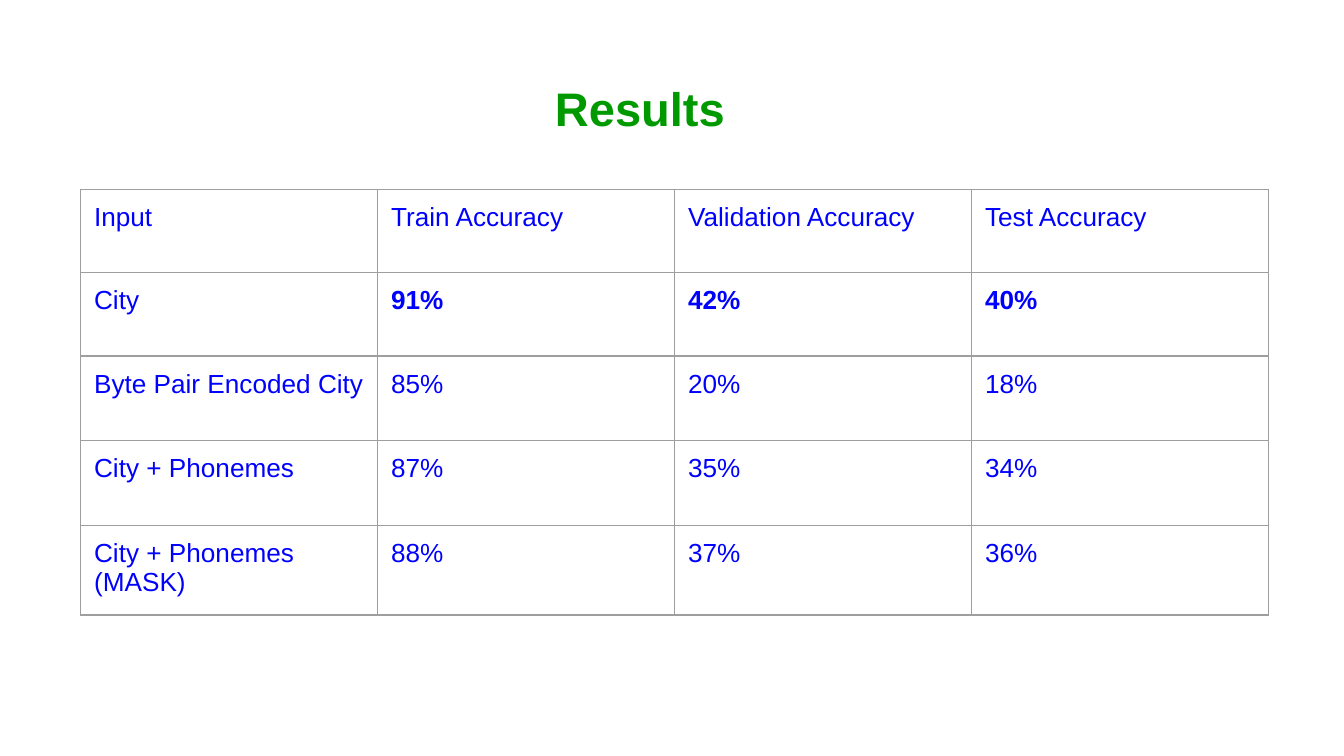
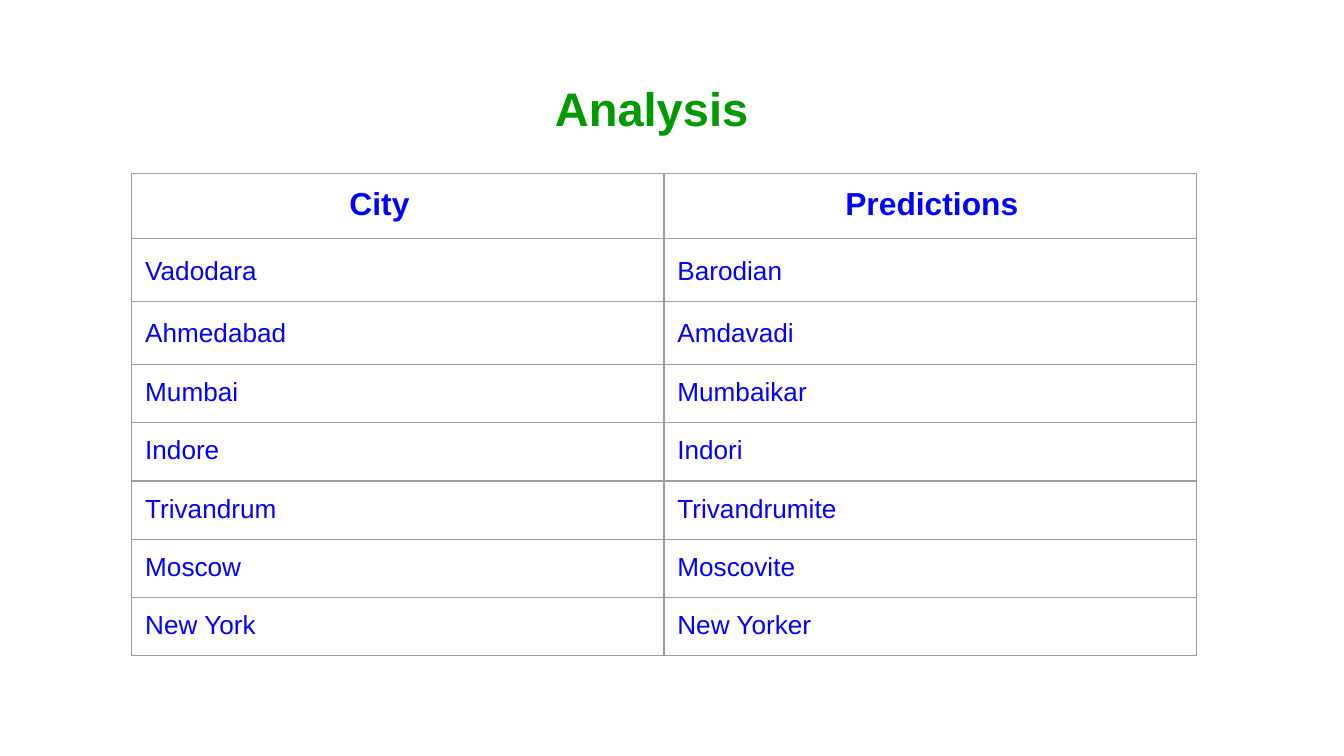
from dataclasses import dataclass, field

from lxml import etree
from pptx import Presentation
from pptx.dml.color import RGBColor
from pptx.enum.text import MSO_ANCHOR
from pptx.oxml.ns import qn
from pptx.util import Inches, Pt

TOP = MSO_ANCHOR.TOP
COLORS = {"title": "009900", "text": "0000FF", "border": "9E9E9E", "page": "FFFFFF"}
FONT = "Arial"
INSET = Inches(0.1)
BORDER_WIDTH = Pt(0.75)
TITLE_INDENT = 3.69
BODY_SIZE = 14


@dataclass
class CellStyle:
    size: float = BODY_SIZE
    bold: bool = False
    indent: float = 0
    line_spacing: float = 1.0


@dataclass
class TableSlide:
    title: str
    left: float
    top: float
    col_width: float
    row_heights: list[float]
    rows: list[tuple[str, ...]]
    styles: dict[tuple[int, int], CellStyle] = field(default_factory=dict)


RESULTS = TableSlide(
    title="Results",
    left=0.6,
    top=1.41,
    col_width=2.21,
    row_heights=[0.62] * 2 + [0.63] * 3,
    rows=[
        ("Input", "Train Accuracy", "Validation Accuracy", "Test Accuracy"),
        ("City", "91%", "42%", "40%"),
        ("Byte Pair Encoded City", "85%", "20%", "18%"),
        ("City + Phonemes", "87%", "35%", "34%"),
        ("City + Phonemes (MASK)", "88%", "37%", "36%"),
    ],
    styles={(1, col): CellStyle(bold=True) for col in (1, 2, 3)},
)

ANALYSIS = TableSlide(
    title="Analysis",
    left=0.98,
    top=1.29,
    col_width=3.96,
    row_heights=[0.46] + [0.45] * 2 + [0.42] * 5,
    rows=[
        ("City", "Predictions"),
        ("Vadodara", "Barodian"),
        ("Ahmedabad", "Amdavadi"),
        ("Mumbai", "Mumbaikar"),
        ("Indore", "Indori"),
        ("Trivandrum", "Trivandrumite"),
        ("Moscow", "Moscovite"),
        ("New York", "New Yorker"),
    ],
    styles={
        (0, 0): CellStyle(size=17, bold=True, indent=1.52),
        (0, 1): CellStyle(size=17, bold=True, indent=1.25),
        **{(row, col): CellStyle(line_spacing=1.15) for row in (1, 2) for col in (0, 1)},
    },
)


def write_text(tf, text: str, *, size: float, color: str, bold: bool = False,
               indent: float = 0, line_spacing: float = 1.0) -> None:
    tf.word_wrap = True
    p = tf.paragraphs[0]
    p_pr = p._p.get_or_add_pPr()
    p_pr.set("marL", str(Inches(indent)))
    p_pr.set("indent", "0")
    p.line_spacing = line_spacing
    p.space_before = p.space_after = Pt(0)
    r = p.add_run()
    r.text = text
    r.font.name = FONT
    r.font.size = Pt(size)
    r.font.bold = bold
    r.font.color.rgb = RGBColor.from_string(COLORS[color])
    r_pr = r._r.get_or_add_rPr()
    for script in ("a:ea", "a:cs", "a:sym"):
        etree.SubElement(r_pr, qn(script), typeface=FONT)
    order = ("a:solidFill", "a:latin", "a:ea", "a:cs", "a:sym")
    r_pr[:] = [r_pr.find(qn(tag)) for tag in order]
    end = etree.SubElement(p._p, qn("a:endParaRPr"), sz=str(int(size * 100)))
    etree.SubElement(end, qn("a:latin"), typeface=FONT)


def set_insets(box) -> None:
    box.margin_left = box.margin_right = INSET
    box.margin_top = box.margin_bottom = INSET


def set_borders(cell) -> None:
    tc_pr = cell._tc.get_or_add_tcPr()
    for side in ("a:lnL", "a:lnR", "a:lnT", "a:lnB"):
        ln = etree.SubElement(tc_pr, qn(side), w=str(BORDER_WIDTH))
        fill = etree.SubElement(ln, qn("a:solidFill"))
        etree.SubElement(fill, qn("a:srgbClr"), val=COLORS["border"])


def add_title(slide, text: str) -> None:
    sp = slide.shapes.add_textbox(Inches(0.34), Inches(0.49), Inches(9.32), Inches(0.63))
    tf = sp.text_frame
    set_insets(tf)
    tf.vertical_anchor = TOP
    write_text(tf, text, size=25.2, color="title", bold=True, indent=TITLE_INDENT)


def add_grid(slide, content: TableSlide) -> None:
    n_rows, n_cols = len(content.rows), len(content.rows[0])
    table = slide.shapes.add_table(
        n_rows, n_cols, Inches(content.left), Inches(content.top),
        Inches(content.col_width * n_cols), Inches(sum(content.row_heights)),
    ).table
    table.first_row = table.horz_banding = False
    for column in table.columns:
        column.width = Inches(content.col_width)
    for row, height in zip(table.rows, content.row_heights):
        row.height = Inches(height)
    for i, texts in enumerate(content.rows):
        for j, text in enumerate(texts):
            cell = table.cell(i, j)
            style = content.styles.get((i, j), CellStyle())
            set_insets(cell)
            set_borders(cell)
            cell.fill.background()
            write_text(cell.text_frame, text, size=style.size, color="text",
                       bold=style.bold, indent=style.indent,
                       line_spacing=style.line_spacing)


def add_table_slide(prs, content: TableSlide) -> None:
    slide = prs.slides.add_slide(prs.slide_layouts[6])
    slide.background.fill.solid()
    slide.background.fill.fore_color.rgb = RGBColor.from_string(COLORS["page"])
    add_title(slide, content.title)
    add_grid(slide, content)


def main() -> None:
    prs = Presentation()
    prs.slide_width = Inches(10)
    prs.slide_height = Inches(10 * 9 / 16)
    for content in (RESULTS, ANALYSIS):
        add_table_slide(prs, content)
    prs.save("out.pptx")


if __name__ == "__main__":
    main()
